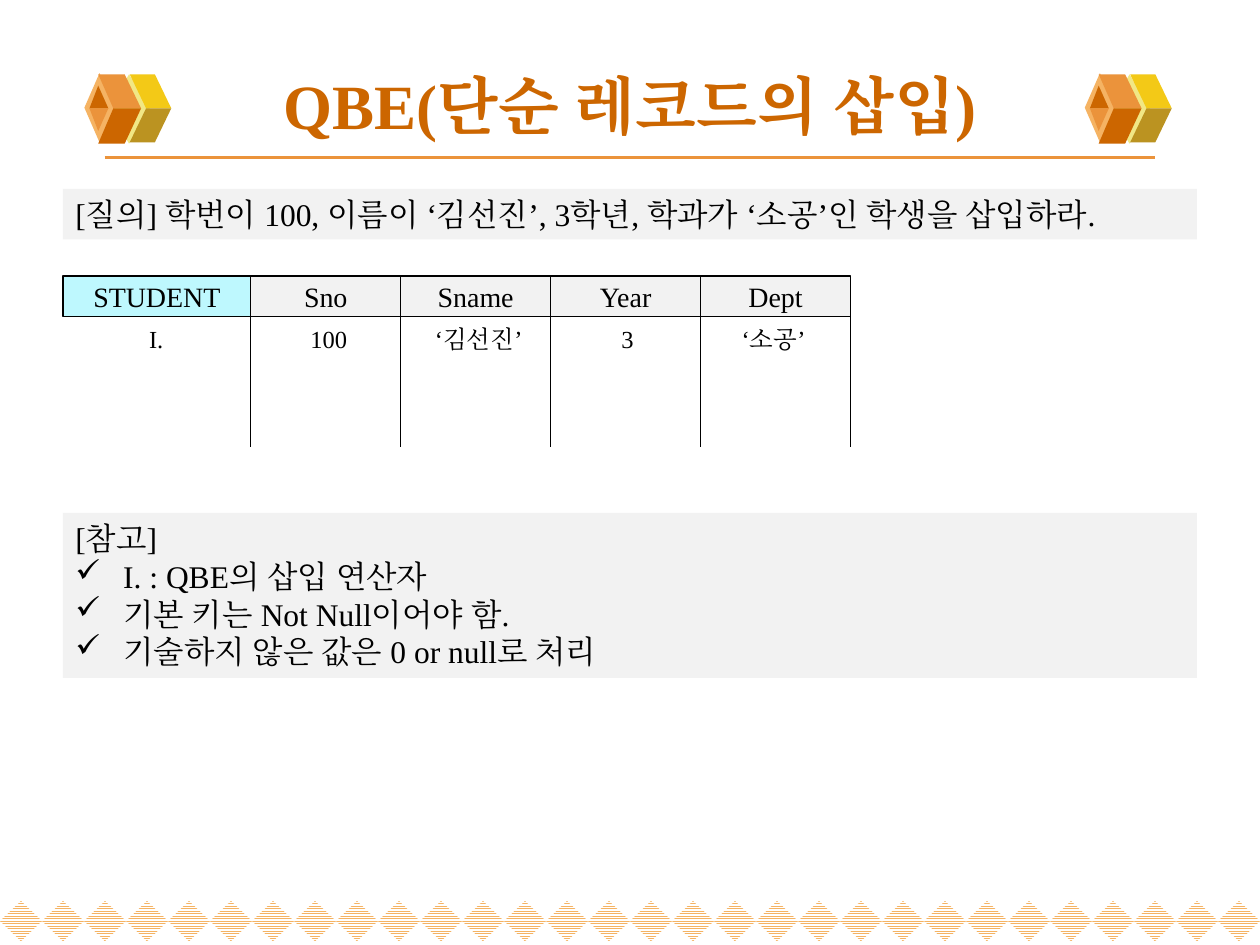
from lxml import etree
from pptx import Presentation
from pptx.dml.color import RGBColor
from pptx.enum.dml import MSO_PATTERN
from pptx.enum.lang import MSO_LANGUAGE_ID
from pptx.enum.shapes import MSO_CONNECTOR, MSO_SHAPE
from pptx.enum.text import MSO_ANCHOR, PP_ALIGN
from pptx.oxml.ns import qn
from pptx.util import Inches, Pt

LEFT, CENTER = PP_ALIGN.LEFT, PP_ALIGN.CENTER
TOP, MIDDLE = MSO_ANCHOR.TOP, MSO_ANCHOR.MIDDLE
RECT, DIAMOND = MSO_SHAPE.RECTANGLE, MSO_SHAPE.DIAMOND
STRAIGHT = MSO_CONNECTOR.STRAIGHT
NARROW = MSO_PATTERN.NARROW_HORIZONTAL
KOREAN = MSO_LANGUAGE_ID.KOREAN

FONT = "Times New Roman"
BLACK = RGBColor(0, 0, 0)
WHITE = RGBColor(255, 255, 255)
GRAY = RGBColor(0xF2, 0xF2, 0xF2)
CYAN = RGBColor(0xBE, 0xF8, 0xFE)
RUST = RGBColor(0xCC, 0x66, 0x00)
ORANGE = RGBColor(0xEB, 0x93, 0x3B)
PEACH = RGBColor(0xF5, 0xB3, 0x63)
CREAM = RGBColor(0xF1, 0xE7, 0x85)
YELLOW = RGBColor(0xF3, 0xC9, 0x17)
OLIVE = RGBColor(0xBB, 0x93, 0x21)

TITLE = "QBE(단순 레코드의 삽입)"
QUERY = "[질의] 학번이 100, 이름이 ‘김선진’, 3학년, 학과가 ‘소공’인 학생을 삽입하라."
NOTES = [
    "[참고]",
    "I. : QBE의 삽입 연산자",
    "기본 키는 Not Null이어야 함.",
    "기술하지 않은 값은 0 or null로 처리",
]
# heading, value, column width, left edge of the value
COLUMNS = [
    ("STUDENT", "I.", 1.49, 0.69),
    ("Sno", "100", 1.19, 2.06),
    ("Sname", "‘김선진’", 1.19, 3.25),
    ("Year", "3", 1.19, 4.43),
    ("Dept", "‘소공’", 1.19, 5.59),
]
# Each half of the ornament: its diamond, then its facets, in 1/100 inch
HALVES = [
    ((0.86, 0.59, 0.33, 0.55), CREAM, [
        (YELLOW, [(116, 86), (136, 86), (123, 59), (103, 59)]),
        (OLIVE, [(116, 86), (136, 86), (123, 113), (103, 113)]),
    ]),
    ((0.67, 0.58, 0.24, 0.55), PEACH, [
        (ORANGE, [(90, 86), (112, 86), (99, 59), (78, 59)]),
        (RUST, [(90, 86), (112, 86), (99, 114), (78, 114)]),
        (RUST, [(78, 68), (71, 86), (86, 86)]),
        (ORANGE, [(78, 104), (71, 86), (86, 86)]),
    ]),
]
SHIFTS = (0, 7.94)
DIAMONDS = 30
HEAD_TOP, HEAD_H, RULE_END = 2.19, 0.32, 3.55


def put(frame, lines, size=18, color=BLACK, bold=False, align=LEFT,
        anchor=TOP, wrap=True):
    frame.word_wrap = wrap
    frame.vertical_anchor = anchor
    for i, line in enumerate(lines):
        par = frame.paragraphs[0] if i == 0 else frame.add_paragraph()
        par.alignment = align
        run = par.add_run()
        run.text = line
        font = run.font
        font.name, font.size, font.bold = FONT, Pt(size), bold
        font.color.rgb = color
        font.language_id = KOREAN
        props = run._r.get_or_add_rPr()
        etree.SubElement(props, qn("a:ea"), typeface=FONT)


def paint(shape, fill, line=None):
    shape.shadow.inherit = False
    shape.fill.solid()
    shape.fill.fore_color.rgb = fill
    if line is None:
        shape.line.fill.background()
    else:
        shape.line.color.rgb = line
        shape.line.width = Pt(0.75)


def block(shapes, kind, box, fill, line=None):
    shape = shapes.add_shape(kind, *map(Inches, box))
    paint(shape, fill, line)
    return shape


def rule(shapes, ends, color, width):
    line = shapes.add_connector(STRAIGHT, *map(Inches, ends))
    line.line.color.rgb = color
    line.line.width = Pt(width)
    etree.SubElement(line._element.spPr, qn("a:effectLst"))


def border(shapes):
    step = 10 / DIAMONDS
    for i in range(DIAMONDS):
        tile = block(shapes, DIAMOND, (i * step, 7.15, step, 0.32), WHITE)
        tile.fill.patterned()
        tile.fill.pattern = NARROW
        tile.fill.fore_color.rgb = PEACH
        tile.fill.back_color.rgb = WHITE


def prism(shapes, shift):
    for (x, *rest), color, facets in HALVES:
        block(shapes, DIAMOND, (x + shift, *rest), color)
        for fill, points in facets:
            first, *others = [(px + shift * 100, py) for px, py in points]
            path = shapes.build_freeform(*first, scale=Inches(0.01))
            path.add_line_segments(others, close=True)
            paint(path.convert_to_shape(), fill)


def grid(shapes):
    x = 0.5
    foot = HEAD_TOP + HEAD_H
    for i, (head, value, width, left) in enumerate(COLUMNS):
        cell = block(shapes, RECT, (x, HEAD_TOP, width, HEAD_H),
                     GRAY if i else CYAN, BLACK)
        put(cell.text_frame, [head], size=16, align=CENTER, anchor=MIDDLE)
        x += width
        rule(shapes, (x, foot, x, RULE_END), BLACK, 0.75)
        note = shapes.add_textbox(*map(Inches, (left, 2.52, 1.1, 0.34)))
        put(note.text_frame, [value], size=14, align=CENTER, wrap=False)


def bullet(par):
    props = par._p.get_or_add_pPr()
    props.set("marL", str(Inches(0.38)))
    props.set("indent", str(-Inches(0.38)))
    etree.SubElement(props, qn("a:buChar"), char="✓")


def main():
    deck = Presentation()
    deck.slide_width, deck.slide_height = Inches(10), Inches(7.5)
    slide = deck.slides.add_slide(deck.slide_layouts[5])
    shapes = slide.shapes

    border(shapes)
    rule(shapes, (0.83, 1.25, 9.17, 1.25), ORANGE, 2.25)
    for shift in SHIFTS:
        prism(shapes, shift)

    title = shapes.title
    title.left, title.top = Inches(0.5), Inches(0.4)
    title.width, title.height = Inches(9), Inches(0.85)
    put(title.text_frame, [TITLE], size=36, color=RUST, bold=True,
        align=CENTER, anchor=MIDDLE)

    grid(shapes)
    query = block(shapes, RECT, (0.5, 1.5, 9, 0.4), GRAY)
    put(query.text_frame, [QUERY])
    notes = block(shapes, RECT, (0.5, 4.07, 9, 1.31), GRAY)
    put(notes.text_frame, NOTES)
    for par in notes.text_frame.paragraphs[1:]:
        bullet(par)

    deck.save("out.pptx")


if __name__ == "__main__":
    main()
